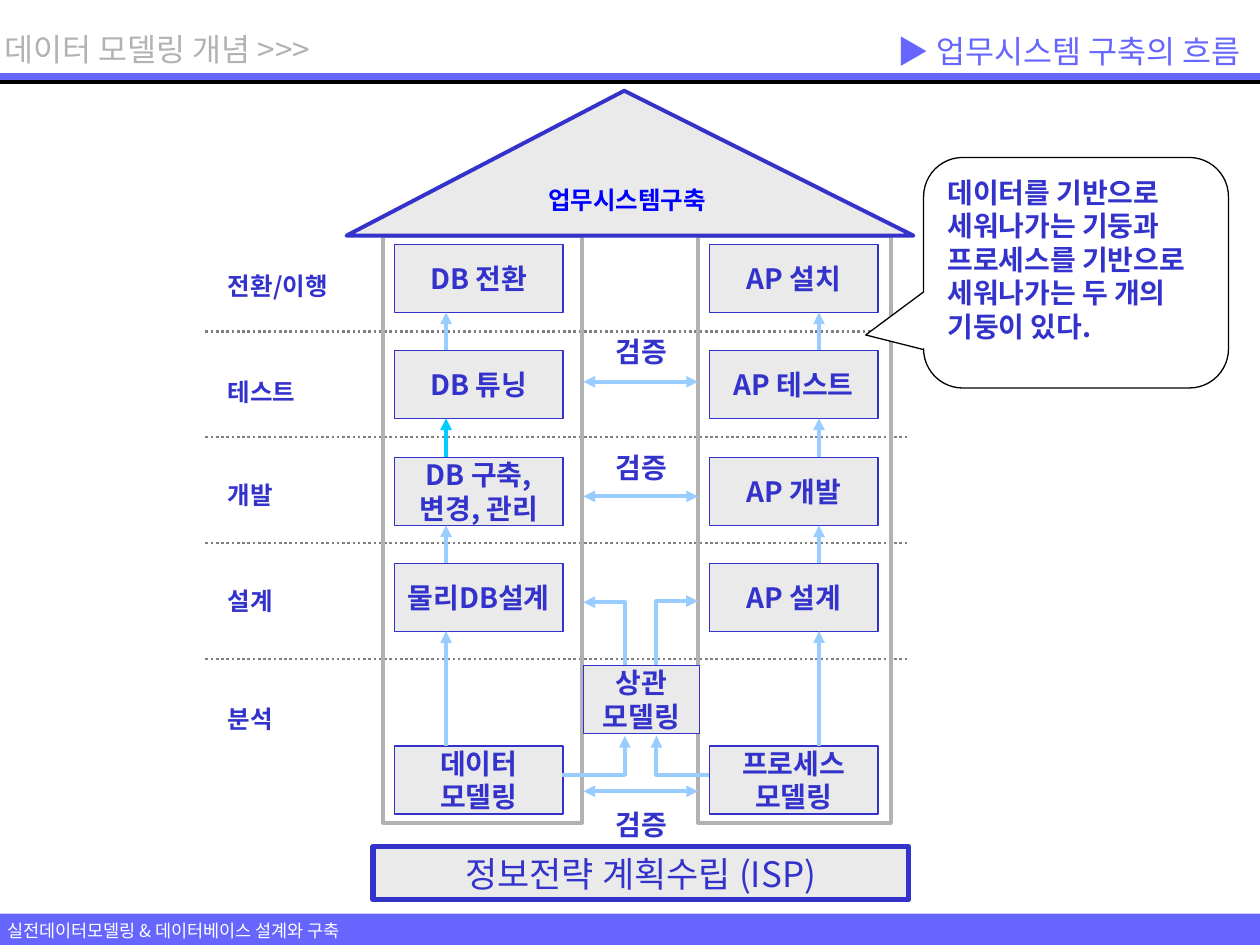
from lxml import etree
from pptx import Presentation
from pptx.dml.color import RGBColor
from pptx.enum import dml, shapes, text
from pptx.oxml import ns
from pptx.util import Inches, Pt

FONT = "Noto Sans CJK KR"
WHITE = RGBColor(0xFF, 0xFF, 0xFF)
BLACK = RGBColor(0, 0, 0)
PERIWINKLE = RGBColor(0x66, 0x66, 0xFF)
INDIGO = RGBColor(0x33, 0x33, 0xCC)
BLUE = RGBColor(0, 0, 0xFF)
SILVER = RGBColor(0xB2, 0xB2, 0xB2)
PALE = RGBColor(0xEA, 0xEA, 0xEA)
GRAY = RGBColor(0x80, 0x80, 0x80)
SKY = RGBColor(0x99, 0xCC, 0xFF)
CYAN = RGBColor(0, 0xCC, 0xFF)

TITLE = "▶ 업무시스템 구축의 흐름 "
CHAPTER = "데이터 모델링 개념 >>>"
FOOTER = "실전데이터모델링 & 데이터베이스 설계와 구축"
ROOF = "업무시스템구축"
FOUNDATION = "정보전략 계획수립 (ISP)"
VERIFY = "검증"
BRIDGE = ["상관", "모델링"]
CALLOUT = ["데이터를 기반으로", "세워나가는 기둥과",
           "프로세스를 기반으로 세워나가는 두 개의 기둥이 있다."]

# stage, label top, box top, data step, process step
STAGES = [
    ("전환/이행", 2.1, 1.94, ["DB 전환"], ["AP 설치"]),
    ("테스트", 2.94, 2.78, ["DB 튜닝"], ["AP 테스트"]),
    ("개발", 3.76, 3.63, ["DB 구축,", "변경, 관리"], ["AP 개발"]),
    ("설계", 4.6, 4.47, ["물리DB설계"], ["AP 설계"]),
    ("분석", 5.54, 5.92, ["데이터", "모델링"], ["프로세스", "모델링"]),
]
DIVIDERS = [2.63, 3.47, 4.31, 5.23]
# pillar left, pillar width, box left, arrow x
PILLARS = [(3.04, 1.58, 3.13, 3.54), (5.54, 1.53, 5.63, 6.5)]
BOX_W, BOX_H = 1.34, 0.54
GAP_LEFT, GAP_RIGHT = 4.63, 5.54
CHECKS = [(2.61, 3.03), (3.53, 3.94), (6.36, 6.28)]  # label top, arrow y
ELBOWS = [
    [(4.46, 6.15), (4.96, 6.15), (4.96, 5.84)],
    [(5.63, 6.15), (5.21, 6.15), (5.21, 5.84)],
    [(4.96, 5.28), (4.96, 4.78), (GAP_LEFT, 4.78)],
    [(5.21, 5.28), (5.21, 4.77), (GAP_RIGHT, 4.77)],
]

LEFT, CENTER, RIGHT = text.PP_ALIGN.LEFT, text.PP_ALIGN.CENTER, text.PP_ALIGN.RIGHT
KIND = shapes.MSO_SHAPE

prs = Presentation()
prs.slide_width, prs.slide_height = Inches(10), Inches(7.5)
slide = prs.slides.add_slide(prs.slide_layouts[5])


def write(shape, lines, size, color, bold=False, align=CENTER, wrap=False,
          anchor=text.MSO_ANCHOR.MIDDLE):
    frame = shape.text_frame
    frame.auto_size = text.MSO_AUTO_SIZE.NONE
    frame.word_wrap = wrap
    frame.vertical_anchor = anchor
    for i, line in enumerate(lines):
        paragraph = frame.add_paragraph() if i else frame.paragraphs[0]
        paragraph.alignment = align
        run = paragraph.add_run()
        run.text = line
        font = run.font
        font.name, font.size, font.bold = FONT, Pt(size), bold
        font.color.rgb = color
        east_asian = etree.SubElement(font._element, ns.qn("a:ea"))
        east_asian.set("typeface", FONT)


def add_label(line, left, top, width, height, size, color, **style):
    box = slide.shapes.add_textbox(*map(Inches, (left, top, width, height)))
    write(box, [line], size, color, anchor=text.MSO_ANCHOR.TOP, **style)


def add_block(kind, left, top, width, height, fill=None, line=None, weight=0.75):
    block = slide.shapes.add_shape(kind, *map(Inches, (left, top, width, height)))
    block.shadow.inherit = False
    if fill is None:
        block.fill.background()
    else:
        block.fill.solid()
        block.fill.fore_color.rgb = fill
    if line is None:
        block.line.fill.background()
    else:
        block.line.color.rgb = line
        block.line.width = Pt(weight)
    return block


def add_step(lines, left, top, width=BOX_W):
    step = add_block(KIND.RECTANGLE, left, top, width, BOX_H, PALE, INDIGO)
    write(step, lines, 16, INDIGO, bold=True)


def point_arrow(line, ends):
    for end in ends:
        etree.SubElement(line._get_or_add_ln(), ns.qn(f"a:{end}"), type="triangle")


def add_line(start, finish, color, weight, dash=None, ends=()):
    connector = slide.shapes.add_connector(
        shapes.MSO_CONNECTOR.STRAIGHT, *map(Inches, (*start, *finish)))
    connector.line.color.rgb = color
    connector.line.width = Pt(weight)
    if dash:
        connector.line.dash_style = dash
    point_arrow(connector.line, ends)
    etree.SubElement(connector._element.spPr, ns.qn("a:effectLst"))


def add_elbow(points):
    start, *rest = [tuple(map(Inches, point)) for point in points]
    builder = slide.shapes.build_freeform(*start)
    builder.add_line_segments(rest, close=False)
    elbow = builder.convert_to_shape()
    elbow.shadow.inherit = False
    elbow.fill.background()
    elbow.line.color.rgb = SKY
    elbow.line.width = Pt(2.25)
    point_arrow(elbow.line, ["tailEnd"])


# Header and footer
add_block(KIND.RECTANGLE, 0, 7.25, 10, 0.25, PERIWINKLE)
add_block(KIND.RECTANGLE, 0, 0.58, 10, 0.06, PERIWINKLE)
for y in (0.64, 0.65, 0.66):
    add_line((0, y), (10, y), BLACK, 0.75)
add_label(FOOTER, -0.04, 7.25, 3.14, 0.27, 10, WHITE, align=LEFT)
add_label(CHAPTER, -0.06, 0.19, 2.84, 0.4, 18, SILVER, align=LEFT)
title = slide.shapes.title
title.left, title.top, title.width, title.height = map(Inches, (0.58, 0.19, 9.42, 0.43))
write(title, [TITLE], 18, PERIWINKLE, align=RIGHT)

# Stages and pillars
for y in DIVIDERS:
    add_line((1.63, y), (7.21, y), GRAY, 1.5, dash=dml.MSO_LINE.ROUND_DOT)
for stage, label_top, *_ in STAGES:
    add_label(stage, 1.71, label_top, 1.25, 0.34, 14, INDIGO,
              bold=True, align=LEFT, wrap=True)
for column, (left, width, box_left, _) in enumerate(PILLARS):
    add_block(KIND.RECTANGLE, left, 1.87, width, 4.66, line=SILVER, weight=2.25)
    for _, _, box_top, *steps in STAGES:
        add_step(steps[column], box_left, box_top)
add_step(BRIDGE, GAP_LEFT, 5.28, 0.92)

# Roof and foundation
roof = add_block(KIND.ISOSCELES_TRIANGLE, 2.75, 0.72, 4.5, 1.15, PALE, INDIGO, 2.25)
roof.adjustments[0] = 0.49
write(roof, [ROOF], 14, BLUE, bold=True)
foundation = add_block(KIND.RECTANGLE, 2.96, 6.72, 4.25, 0.42, PALE, INDIGO, 3)
write(foundation, [FOUNDATION], 20, INDIGO)

# Flow
for column, (*_, x) in enumerate(PILLARS):
    for row, (upper, lower) in enumerate(zip(STAGES, STAGES[1:])):
        color = CYAN if (column, row) == (0, 1) else SKY
        add_line((x, lower[2]), (x, upper[2] + BOX_H), color, 2.25, ends=["tailEnd"])
for points in ELBOWS:
    add_elbow(points)
for label_top, y in CHECKS:
    add_label(VERIFY, GAP_LEFT, label_top, 0.92, 0.37, 16, INDIGO, bold=True, wrap=True)
    add_line((GAP_LEFT, y), (GAP_RIGHT, y), SKY, 2.25, ends=["headEnd", "tailEnd"])

callout = add_block(KIND.ROUNDED_RECTANGULAR_CALLOUT, 7.33, 1.25, 2.42, 1.83, WHITE, BLACK)
for i, value in enumerate((-0.69, 0.27, 0.17)):
    callout.adjustments[i] = value
write(callout, CALLOUT, 16, INDIGO, bold=True, align=LEFT, wrap=True,
      anchor=text.MSO_ANCHOR.TOP)

prs.save("out.pptx")
